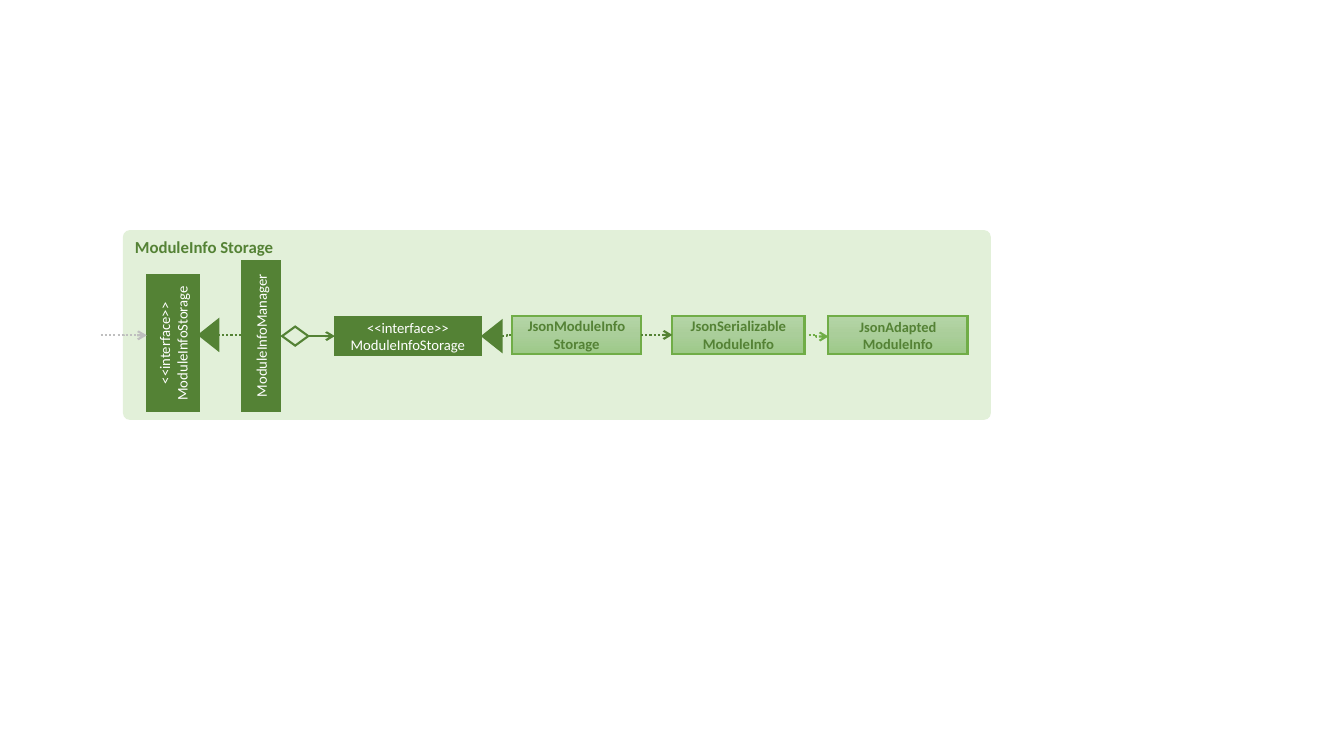
import copy
from dataclasses import dataclass

import pptx
import pptx.util
import pptx.dml.color
import pptx.enum.dml
import pptx.enum.shapes
import pptx.enum.text
import pptx.oxml.ns
import pptx.oxml.xmlchemy

Cm, Pt = pptx.util.Cm, pptx.util.Pt
RGB = pptx.dml.color.RGBColor.from_string
SHAPE = pptx.enum.shapes.MSO_SHAPE
LINK = pptx.enum.shapes.MSO_CONNECTOR
ALIGN = pptx.enum.text.PP_ALIGN
ANCHOR = pptx.enum.text.MSO_ANCHOR
DOTS = pptx.enum.dml.MSO_LINE.ROUND_DOT
qn = pptx.oxml.ns.qn


@dataclass(frozen=True)
class Theme:
    """Colours, font and type sizes of the diagram."""
    panel: str = "E2F0D9"
    dark: str = "548235"
    mid: str = "70AD47"
    grey: str = "BFBFBF"
    white: str = "FFFFFF"
    gradient: tuple = ((0, "B5D5A7"), (0.5, "AACE9A"), (1, "9CC987"))
    font: str = "Calibri"
    title: float = 12
    label: float = 10.5
    small: float = 10.3
    line: float = 1.5


T = Theme()


def apply(obj, values):
    """Set every attribute named in a dict of format values."""
    for name, value in values.items():
        setattr(obj, name, value)


def append_xml(parent, tag, **attributes):
    """Append an XML element with attributes to a parent."""
    child = pptx.oxml.xmlchemy.OxmlElement(tag)
    for name, value in attributes.items():
        child.set(name, value)
    parent.append(child)


def write(sp, lines, size, color, bold=False, align=ALIGN.CENTER, anchor=ANCHOR.MIDDLE):
    """Write paragraphs into a shape, breaking lines at vertical tabs."""
    tf = sp.text_frame
    apply(tf, {"word_wrap": True, "vertical_anchor": anchor})
    for i, line in enumerate(lines):
        p = tf.add_paragraph() if i else tf.paragraphs[0]
        apply(p, {"text": line, "alignment": align})
        for r in p.runs:
            apply(r.font, {"name": T.font, "size": Pt(size), "bold": bold})
            r.font.color.rgb = RGB(color)


def fill_gradient(sp):
    """Fill a shape with the three-stop vertical gradient."""
    sp.fill.gradient()
    sp.fill.gradient_angle = 270
    stops = next(sp._element.spPr.iter(qn("a:gsLst")))
    stops.insert(1, copy.deepcopy(stops[0]))
    for stop, (position, color) in zip(sp.fill.gradient_stops, T.gradient):
        stop.position = position
        stop.color.rgb = RGB(color)


def add_node(s, box, kind, cx, cy, w, h, fill=None, line=T.dark, rotation=0):
    """Add a shape centred at a point measured from the corner of the box."""
    left, top = box[:2]
    sp = s.shapes.add_shape(kind, Cm(left + cx - w / 2), Cm(top + cy - h / 2), Cm(w), Cm(h))
    sp.shadow.inherit = False
    sp.rotation = rotation
    if fill == T.gradient:
        fill_gradient(sp)
    elif fill:
        sp.fill.solid()
        sp.fill.fore_color.rgb = RGB(fill)
    else:
        sp.fill.background()
    if line:
        sp.line.width = Pt(T.line)
        sp.line.color.rgb = RGB(line)
        append_xml(sp._element.spPr.find(qn("a:ln")), "a:miter", lim="800000")
    else:
        sp.line.fill.background()
    return sp


def add_link(s, box, start, end, kind=LINK.STRAIGHT, color=T.dark, dotted=True, arrow=True):
    """Add a connector between two points measured from the corner of the box."""
    left, top = box[:2]
    c = s.shapes.add_connector(kind, Cm(left + start[0]), Cm(top + start[1]),
                               Cm(left + end[0]), Cm(top + end[1]))
    c.line.width = Pt(T.line)
    c.line.color.rgb = RGB(color)
    if dotted:
        c.line.dash_style = DOTS
    if arrow:
        append_xml(c._element.spPr.find(qn("a:ln")), "a:tailEnd", type="arrow")
    append_xml(c._element.spPr, "a:effectLst")
    return c


def join(c, first, last):
    """Join a connector from the right side of one shape to the left of another."""
    c.begin_connect(first, 3)
    c.end_connect(last, 1)


def draw_panel(s, box):
    """Draw the titled background panel."""
    w, h = box[2:]
    sp = add_node(s, box, SHAPE.ROUNDED_RECTANGLE, w / 2, h / 2, w, h, T.panel, None)
    sp.adjustments[0] = 0.035
    write(sp, ["ModuleInfo Storage"], T.title, T.dark, True, ALIGN.LEFT, ANCHOR.TOP)


def draw_manager(s, box, axis):
    """Draw the upright storage interface, its manager and their links."""
    uprights = (
        (3.48, 2.66, 3.78, 0.97, ["ModuleInfoManager"]),
        (1.26, 2.85, 3.43, 1.32, ["<<interface>>", "ModuleInfoStorage"]),
    )
    for *place, lines in uprights:
        sp = add_node(s, box, SHAPE.RECTANGLE, *place, T.dark, rotation=270)
        write(sp, lines, T.label, T.white)
    add_node(s, box, SHAPE.ISOSCELES_TRIANGLE, 2.16, axis, 0.76, 0.48, T.dark, rotation=270)
    add_link(s, box, (-0.56, axis), (0.6, axis + 0.01), LINK.ELBOW, T.grey)
    add_link(s, box, (2.39, axis), (3, axis), arrow=False)


def draw_interface(s, box, axis):
    """Draw the aggregated storage interface with its diamond and triangle."""
    interface = add_node(s, box, SHAPE.RECTANGLE, 7.18, axis, 3.68, 0.97, T.dark)
    write(interface, ["<<interface>>\vModuleInfoStorage"], T.label, T.white)
    diamond = add_node(s, box, SHAPE.FLOWCHART_DECISION, 4.34, axis, 0.66, 0.48)
    join(add_link(s, box, (4.67, axis), (5.34, axis), dotted=False), diamond, interface)
    add_link(s, box, (9.55, axis), (9.8, axis - 0.03), LINK.ELBOW, arrow=False)
    add_node(s, box, SHAPE.ISOSCELES_TRIANGLE, 9.3, axis, 0.76, 0.48, T.dark, rotation=270)


def draw_json_chain(s, box, axis):
    """Draw the three Json classes and the links between them."""
    classes = (
        (11.43, 3.25, ["JsonModuleInfo\vStorage"], T.label),
        (15.51, 3.33, ["JsonSerializable\vModuleInfo"], T.label),
        (19.53, 3.51, ["JsonAdapted", "ModuleInfo"], T.small),
    )
    nodes = []
    for cx, w, lines, size in classes:
        sp = add_node(s, box, SHAPE.RECTANGLE, cx, axis, w, 0.97, T.gradient, T.mid)
        write(sp, lines, size, T.dark, True)
        nodes.append(sp)
    join(add_link(s, box, (13.06, axis), (13.84, axis)), nodes[0], nodes[1])
    add_link(s, box, (17.17, axis), (17.78, axis + 0.04), LINK.ELBOW, T.mid)


def main():
    """Build the storage diagram slide and save it."""
    prs = pptx.Presentation()
    apply(prs, {"slide_width": Cm(33.87), "slide_height": Cm(19.05)})
    s = prs.slides.add_slide(prs.slide_layouts[6])
    box = (3.1, 5.8, 21.87, 4.78)
    draw_panel(s, box)
    draw_manager(s, box, 2.64)
    draw_interface(s, box, 2.67)
    draw_json_chain(s, box, 2.64)
    prs.save("out.pptx")


if __name__ == "__main__":
    main()
